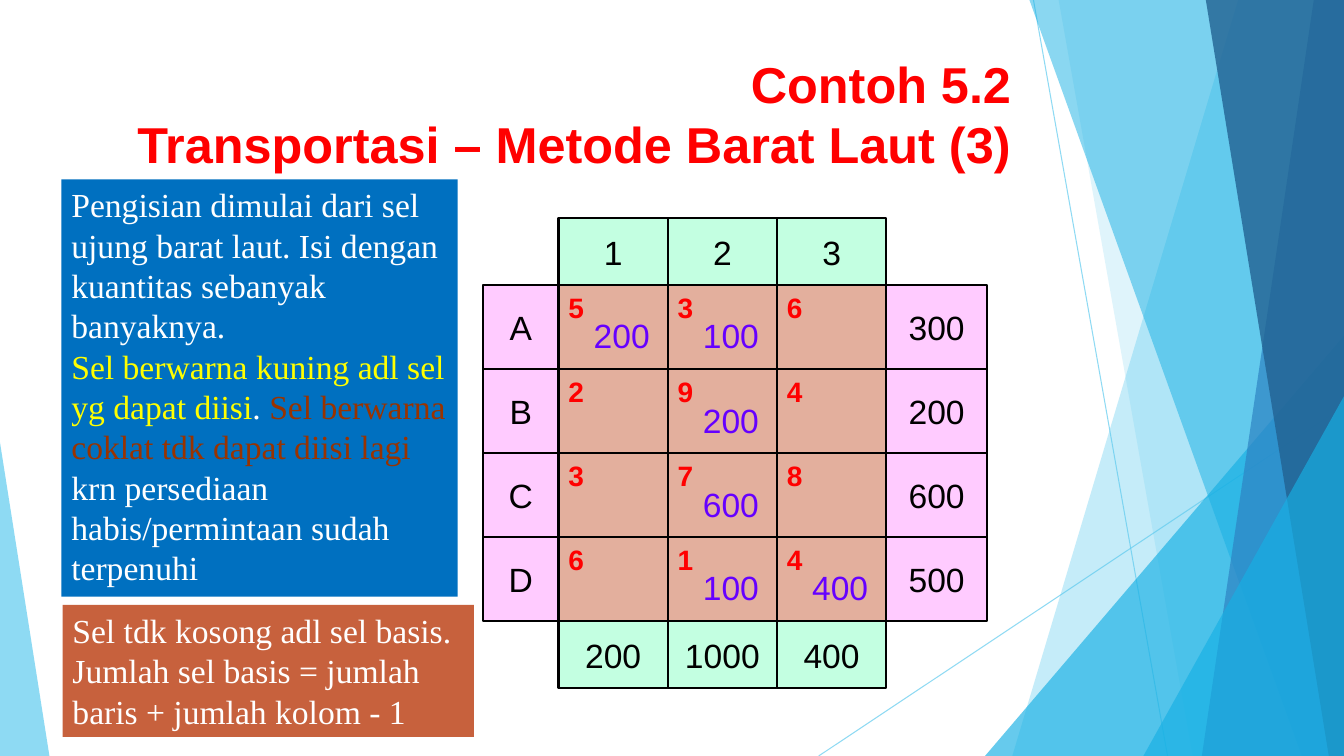
import pptx
import pptx.util
import pptx.dml.color
import pptx.enum.shapes
import pptx.enum.text
import pptx.oxml
import pptx.oxml.ns

Inches = pptx.util.Inches
Pt = pptx.util.Pt
RGBColor = pptx.dml.color.RGBColor
Kind = pptx.enum.shapes.MSO_SHAPE
Align = pptx.enum.text.PP_ALIGN
Anchor = pptx.enum.text.MSO_ANCHOR

BLACK = RGBColor(0x00, 0x00, 0x00)
WHITE = RGBColor(0xFF, 0xFF, 0xFF)
RED = RGBColor(0xFF, 0x00, 0x00)
YELLOW = RGBColor(0xFF, 0xFF, 0x00)
BROWN = RGBColor(0x99, 0x33, 0x00)
VIOLET = RGBColor(0x66, 0x00, 0xFF)
PINK = RGBColor(0xFF, 0xCB, 0xFF)
MINT = RGBColor(0xC3, 0xFF, 0xE1)
TAN = RGBColor(0xE3, 0xAF, 0x9D)
BLUE = RGBColor(0x00, 0x70, 0xC0)
RUST = RGBColor(0xC7, 0x61, 0x3D)
SKY = RGBColor(0x5F, 0xCB, 0xEF)
CYAN = RGBColor(0x17, 0xB0, 0xE4)
STEEL = RGBColor(0x2E, 0x83, 0xC3)
NAVY = RGBColor(0x22, 0x62, 0x92)

WIDE, HIGH = 13.33, 7.5
LEFT, TOP = 5.54, 2.83
COL, ROW = 13 / 12, 5 / 6
SIDE, SUPPLY, BAND = 0.75, 1, 2 / 3

COSTS = [[5, 3, 6], [2, 9, 4], [3, 7, 8], [6, 1, 4]]
LOADS = {(0, 0): 200, (0, 1): 100, (1, 1): 200,
         (2, 1): 600, (3, 1): 100, (3, 2): 400}
ROWS = [("A", 300), ("B", 200), ("C", 600), ("D", 500)]
COLS = [("1", 200), ("2", 1000), ("3", 400)]

SHARDS = [(12.28, 10.04, SKY, 36), (10.5, 11.83, SKY, 20)]
BLADES = [(10.21, 12.91, CYAN, 50), (13.03, 11.92, STEEL, 70),
          (11.96, 13.18, NAVY, 80)]


class Board:
    """Draws styled elements on the current slide."""

    def __init__(self, slide):
        self.slide = slide
        self.shapes = slide.shapes
        self.sans = "Arial"
        self.serif = "Times New Roman"
        self.size = 24

    def fade(self, shape, alpha):
        for tint in shape.element.spPr.iter(pptx.oxml.ns.qn("a:srgbClr")):
            node = tint.makeelement(pptx.oxml.ns.qn("a:alpha"), {"val": str(alpha * 1000)})
            tint.append(node)

    def paint(self, shape, fill, alpha=None):
        shape.shadow.inherit = False
        shape.fill.solid()
        shape.fill.fore_color.rgb = fill
        shape.line.fill.background()
        if alpha:
            self.fade(shape, alpha)

    def ray(self, start, end):
        ends = [Inches(v) for v in start + end]
        line = self.shapes.add_connector(pptx.enum.shapes.MSO_CONNECTOR.STRAIGHT, *ends)
        line.line.color.rgb = SKY
        line.line.width = Pt(0.75)
        line.element.spPr.append(pptx.oxml.parse_xml(
            "<a:effectLst %s/>" % pptx.oxml.ns.nsdecls("a")))
        self.fade(line, 70)

    def shard(self, upper, lower, fill, alpha):
        points = [(WIDE, 0), (WIDE, HIGH), (lower, HIGH)]
        build = self.shapes.build_freeform(Inches(upper), 0)
        build.add_line_segments([(Inches(x), Inches(y)) for x, y in points])
        self.paint(build.convert_to_shape(), fill, alpha)

    def wedge(self, box, tip, fill, alpha):
        shape = self.shapes.add_shape(Kind.ISOSCELES_TRIANGLE, *[Inches(v) for v in box])
        shape.adjustments[0] = tip
        self.paint(shape, fill, alpha)

    def say(self, para, text, color, font=None, size=None, bold=False):
        run = para.add_run()
        run.text = text
        run.font.name = font or self.sans
        run.font.size = Pt(size or self.size)
        run.font.bold = bold
        run.font.color.rgb = color

    def title(self, box, lines):
        shape = self.shapes.title
        shape.left, shape.top, shape.width, shape.height = [Inches(v) for v in box]
        shape.text_frame.vertical_anchor = Anchor.MIDDLE
        para = shape.text_frame.paragraphs[0]
        para.alignment = Align.RIGHT
        for i, text in enumerate(lines):
            if i:
                para.add_line_break()
            self.say(para, text, RED, size=36, bold=True)

    def cell(self, box, fill, text, cost=False):
        shape = self.shapes.add_shape(Kind.RECTANGLE, *[Inches(v) for v in box])
        self.paint(shape, fill)
        shape.line.color.rgb = BLACK
        shape.line.width = Pt(1.5)
        shape.text_frame.vertical_anchor = Anchor.TOP if cost else Anchor.MIDDLE
        para = shape.text_frame.paragraphs[0]
        para.alignment = Align.LEFT if cost else Align.CENTER
        if cost:
            self.say(para, str(text), RED, size=20, bold=True)
        else:
            self.say(para, str(text), BLACK)

    def load(self, x, y, text):
        box = self.shapes.add_textbox(Inches(x), Inches(y), Inches(0.76), Inches(0.5))
        box.text_frame.word_wrap = False
        self.say(box.text_frame.paragraphs[0], str(text), VIOLET)

    def note(self, box, fill, paras):
        shape = self.shapes.add_textbox(*[Inches(v) for v in box])
        shape.fill.solid()
        shape.fill.fore_color.rgb = fill
        frame = shape.text_frame
        frame.word_wrap = True
        for i, runs in enumerate(paras):
            para = frame.add_paragraph() if i else frame.paragraphs[0]
            for text, color in runs:
                self.say(para, text, color, self.serif)


def main():
    deck = pptx.Presentation()
    deck.slide_width, deck.slide_height = Inches(WIDE), Inches(HIGH)
    board = Board(deck.slides.add_slide(deck.slide_layouts[5]))

    board.ray((10.25, 0), (11.58, HIGH))
    board.ray((WIDE, 4.03), (8.12, HIGH))
    for shard in SHARDS:
        board.shard(*shard)
    board.wedge((9.77, 3.33, 3.56, 4.17), 1, CYAN, 66)
    for blade in BLADES:
        board.shard(*blade)
    board.wedge((11.34, 3.93, 1.99, 3.57), 1, CYAN, 66)
    board.wedge((0, 4.39, 0.49, 3.11), 0, SKY, 70)

    board.title((0.71, 0.5, 9.42, 1.25),
                ["Contoh 5.2", "Transportasi – Metode Barat Laut (3)"])

    right = LEFT + len(COLS) * COL
    base = TOP + len(ROWS) * ROW
    for j, (name, need) in enumerate(COLS):
        x = LEFT + j * COL
        board.cell((x, TOP - BAND, COL, BAND), MINT, name)
        board.cell((x, base, COL, BAND), MINT, need)
    for i, (name, stock) in enumerate(ROWS):
        y = TOP + i * ROW
        board.cell((LEFT - SIDE, y, SIDE, ROW), PINK, name)
        board.cell((right, y, SUPPLY, ROW), PINK, stock)
        for j, cost in enumerate(COSTS[i]):
            x = LEFT + j * COL
            board.cell((x, y, COL, ROW), TAN, cost, cost=True)
            if (i, j) in LOADS:
                board.load(x + 0.25, y + 0.25, LOADS[i, j])

    board.note((0.61, 1.78, 3.93, 4.14), BLUE, [
        [("Pengisian dimulai dari sel ujung barat laut. "
          "Isi dengan kuantitas sebanyak banyaknya.", WHITE)],
        [("Sel berwarna kuning adl sel yg dapat diisi", YELLOW),
         (". ", WHITE),
         ("Sel berwarna coklat tdk dapat diisi lagi ", BROWN),
         ("krn persediaan habis/permintaan sudah terpenuhi", WHITE)]])
    board.note((0.62, 6, 4.08, 1.31), RUST, [
        [("Sel tdk kosong adl sel basis. "
          "Jumlah sel basis = jumlah baris + jumlah kolom - 1", WHITE)]])

    deck.save("out.pptx")


if __name__ == "__main__":
    main()
